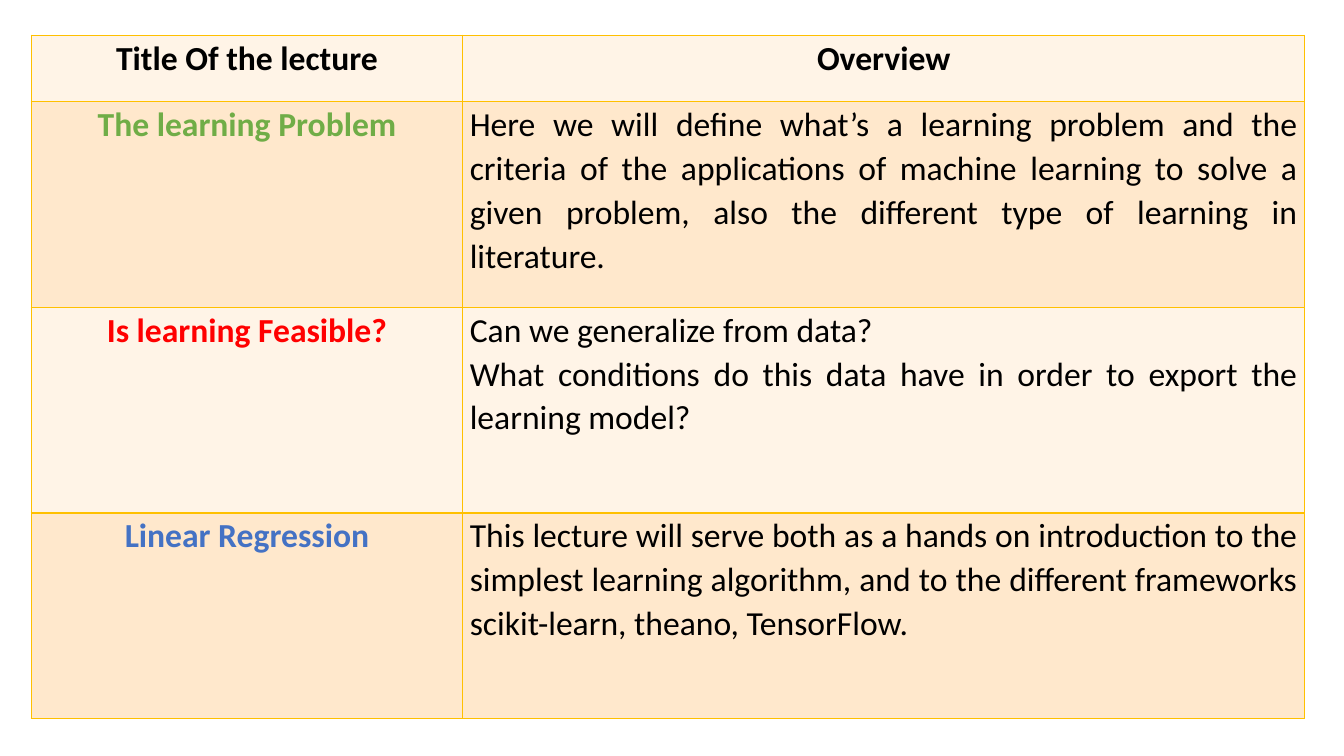
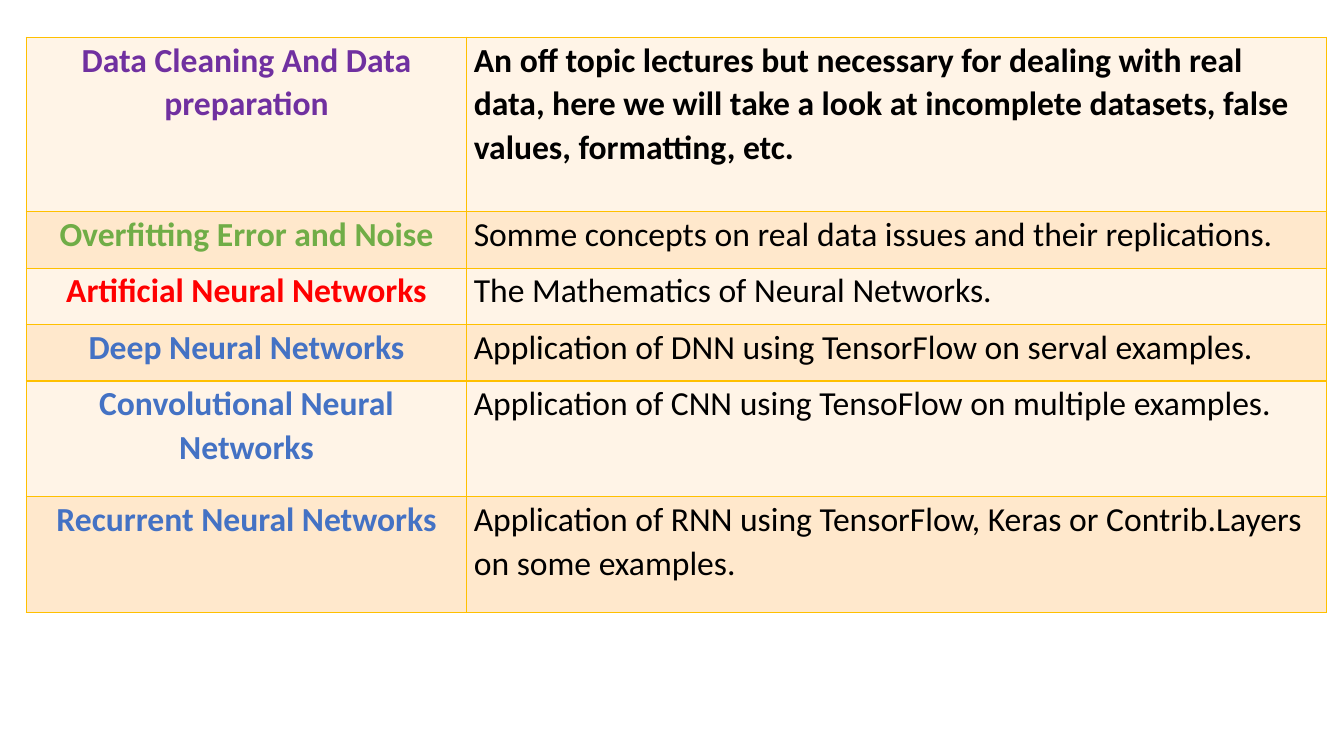
"""Build two slides that list the lectures of a machine learning course in tables."""
from lxml import etree
from pptx import Presentation
from pptx.dml.color import RGBColor
from pptx.enum.text import MSO_ANCHOR, PP_ALIGN
from pptx.oxml.ns import qn
from pptx.util import Inches, Pt

CENTER, JUSTIFY, LEFT = PP_ALIGN.CENTER, PP_ALIGN.JUSTIFY, PP_ALIGN.LEFT
TOP = MSO_ANCHOR.TOP

BLACK = RGBColor(0x00, 0x00, 0x00)
GREEN = RGBColor(0x70, 0xAD, 0x47)
RED = RGBColor(0xFF, 0x00, 0x00)
BLUE = RGBColor(0x44, 0x72, 0xC4)
PURPLE = RGBColor(0x70, 0x30, 0xA0)
GOLD = RGBColor(0xFF, 0xC0, 0x00)
BANDS = (RGBColor(0xFF, 0xF4, 0xE7), RGBColor(0xFF, 0xE8, 0xCC))

FONT = "Calibri"
TEXT_SIZE = Pt(24)
LINE_SPACING = 1.07
SIDE_MARGIN = Inches(0.07)
BORDER_WIDTH = Pt(1)

LECTURE_TABLES = [
    {
        "left": 0.31, "top": 0.35, "columns": (4.28, 8.35), "overview_align": JUSTIFY,
        "rows": [
            {"height": 0.66, "title": "Title Of the lecture", "color": BLACK,
             "overview": ["Overview"], "bold": True, "align": CENTER},
            {"height": 2.04, "title": "The learning Problem", "color": GREEN,
             "overview": ["Here we will define what’s a learning problem and the criteria of "
                          "the applications of machine learning to solve a given problem, also "
                          "the different type of learning in literature."]},
            {"height": 2.04, "title": "Is learning Feasible?", "color": RED,
             "overview": ["Can we generalize from data?",
                          "What conditions do this data have in order to export the learning "
                          "model?"]},
            {"height": 2.04, "title": "Linear Regression", "color": BLUE,
             "overview": ["This lecture will serve both as a hands on introduction to the "
                          "simplest learning algorithm, and to the different frameworks "
                          "scikit-learn, theano, TensorFlow."]},
        ],
    },
    {
        "left": 0.26, "top": 0.37, "columns": (4.37, 8.53), "overview_align": LEFT,
        "rows": [
            {"height": 1.73, "title": "Data Cleaning And Data preparation", "color": PURPLE,
             "overview": ["An off topic lectures but necessary for dealing with real data, here "
                          "we will take a look at incomplete datasets, false values, "
                          "formatting, etc."], "bold": True},
            {"height": 0.56, "title": "Overfitting Error and Noise", "color": GREEN,
             "overview": ["Somme concepts on real data issues and their replications."]},
            {"height": 0.56, "title": "Artificial Neural Networks", "color": RED,
             "overview": ["The Mathematics of Neural Networks."]},
            {"height": 0.56, "title": "Deep Neural Networks", "color": BLUE,
             "overview": ["Application of DNN using TensorFlow on serval examples."]},
            {"height": 1.15, "title": "Convolutional Neural Networks", "color": BLUE,
             "overview": ["Application of CNN using TensoFlow on multiple examples."]},
            {"height": 1.15, "title": "Recurrent Neural Networks", "color": BLUE,
             "overview": ["Application of RNN using TensorFlow, Keras or Contrib.Layers on some "
                          "examples."]},
        ],
    },
]


def add_borders(cell):
    """Draw a gold line on each side of a cell."""
    properties = cell._tc.get_or_add_tcPr()
    for side in ("a:lnL", "a:lnR", "a:lnT", "a:lnB"):
        line = etree.SubElement(properties, qn(side), w=str(BORDER_WIDTH))
        fill = etree.SubElement(line, qn("a:solidFill"))
        etree.SubElement(fill, qn("a:srgbClr"), val=str(GOLD))


def fill_cell(cell, texts, band, color, bold, align):
    """Format a cell and write one paragraph for each text."""
    add_borders(cell)
    cell.fill.solid()
    cell.fill.fore_color.rgb = band
    cell.margin_left = cell.margin_right = SIDE_MARGIN
    cell.margin_top = cell.margin_bottom = 0
    cell.vertical_anchor = TOP
    frame = cell.text_frame
    for index, text in enumerate(texts):
        paragraph = frame.add_paragraph() if index else frame.paragraphs[0]
        paragraph.alignment = align
        paragraph.line_spacing = LINE_SPACING
        run = paragraph.add_run()
        run.text = text
        run.font.name = FONT
        run.font.size = TEXT_SIZE
        run.font.bold = bold
        run.font.color.rgb = color


def add_lecture_table(slide, content):
    """Add a two-column table of lecture titles and overviews."""
    rows, columns = content["rows"], content["columns"]
    table = slide.shapes.add_table(
        len(rows), len(columns), Inches(content["left"]), Inches(content["top"]),
        Inches(sum(columns)), Inches(sum(row["height"] for row in rows))).table
    for column, width in zip(table.columns, columns):
        column.width = Inches(width)
    for index, row in enumerate(rows):
        table.rows[index].height = Inches(row["height"])
        band = BANDS[index % len(BANDS)]
        fill_cell(table.cell(index, 0), [row["title"]], band, row["color"], True, CENTER)
        fill_cell(table.cell(index, 1), row["overview"], band, BLACK,
                  row.get("bold", False), row.get("align", content["overview_align"]))


def main():
    """Build and save the presentation."""
    presentation = Presentation()
    presentation.slide_width, presentation.slide_height = Inches(13.33), Inches(7.5)
    blank_layout = presentation.slide_layouts[6]
    for content in LECTURE_TABLES:
        add_lecture_table(presentation.slides.add_slide(blank_layout), content)
    presentation.save("out.pptx")


if __name__ == "__main__":
    main()
